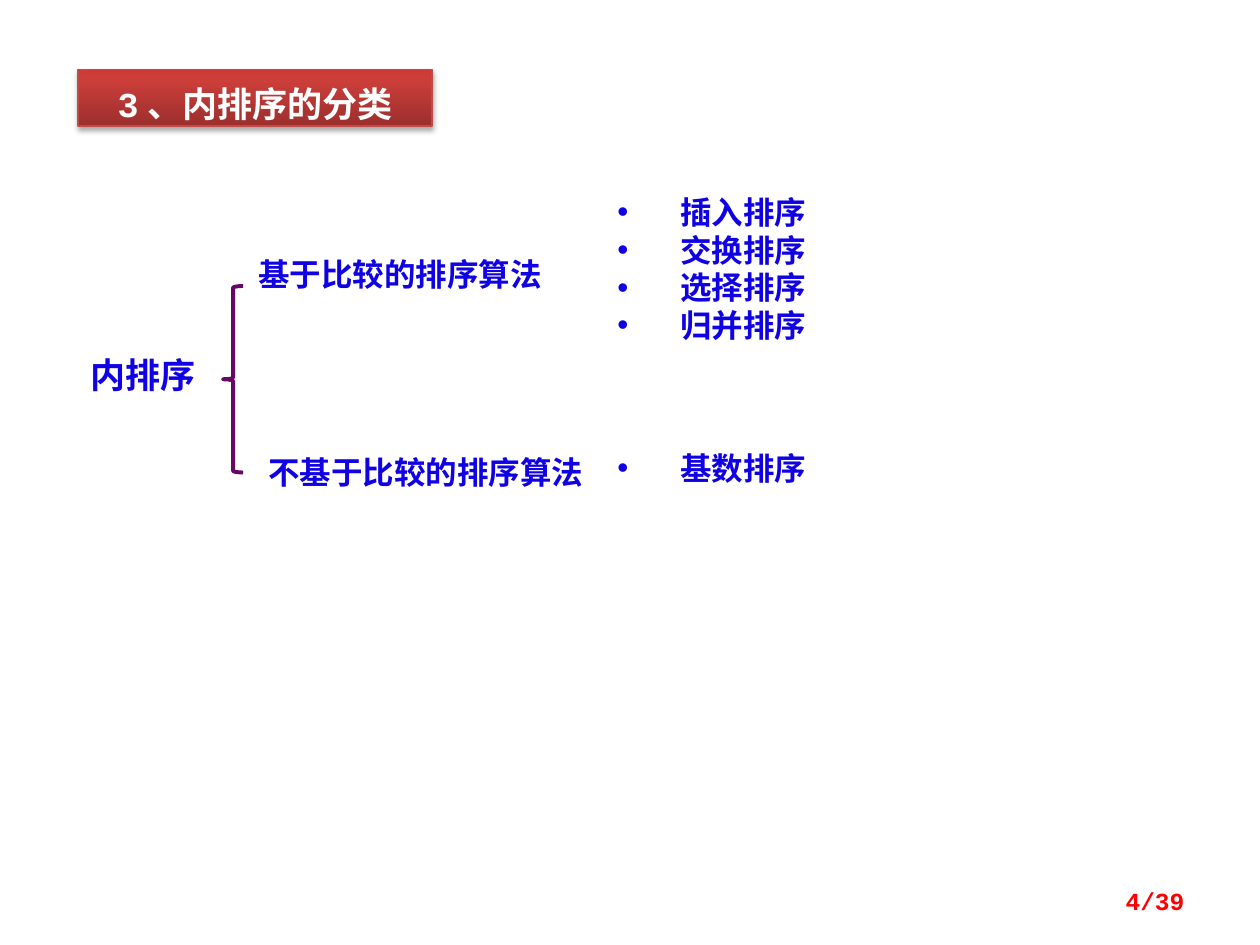
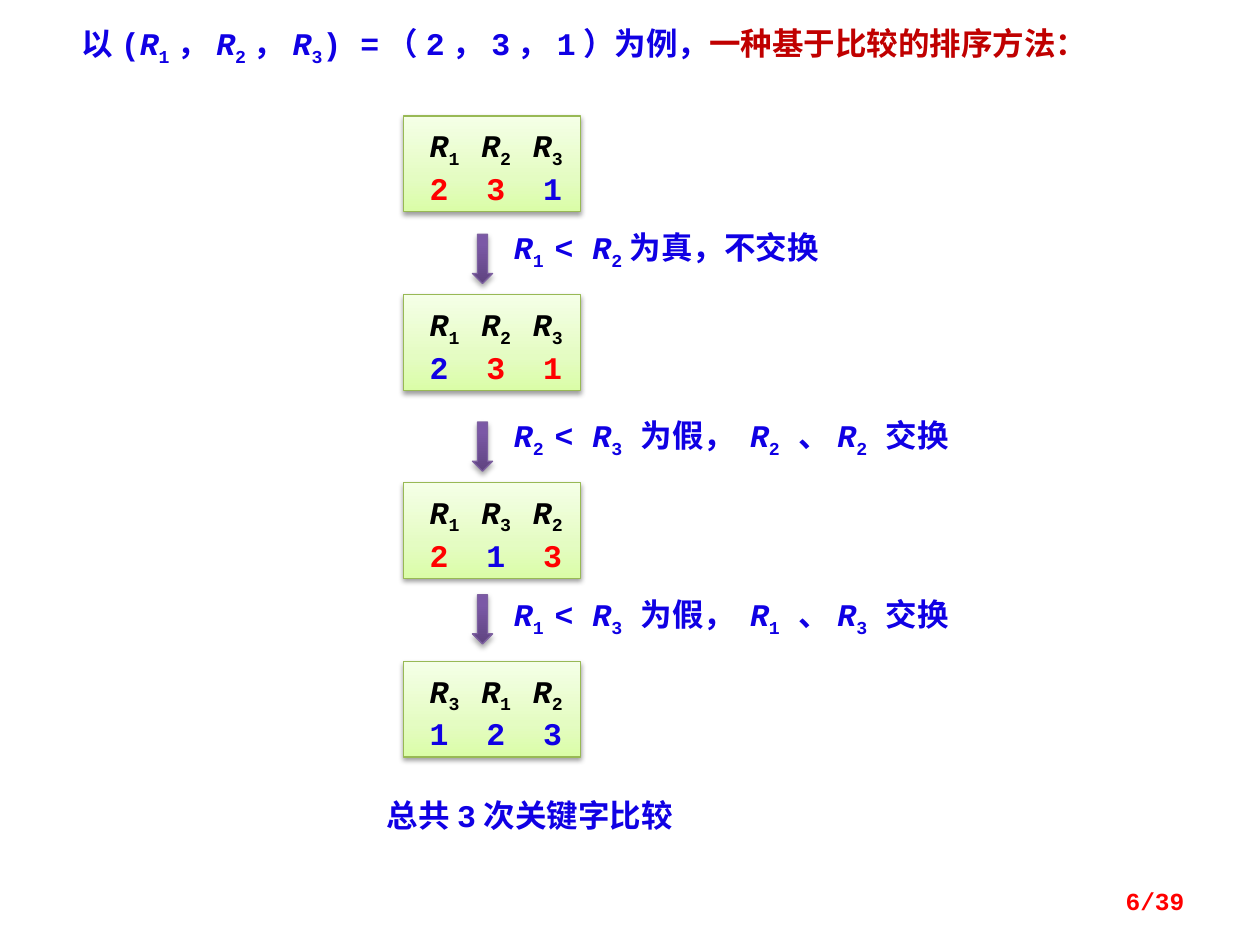
import dataclasses

import lxml.etree
import pptx
import pptx.dml.color
import pptx.enum.shapes
import pptx.enum.text
import pptx.oxml.ns
import pptx.util

Inches = pptx.util.Inches
Pt = pptx.util.Pt
qn = pptx.oxml.ns.qn
Shapes = pptx.enum.shapes.MSO_SHAPE
Align = pptx.enum.text.PP_ALIGN
Anchor = pptx.enum.text.MSO_ANCHOR


@dataclasses.dataclass(frozen=True)
class Theme:
    blue: str = "1000E4"
    red: str = "FF0000"
    dark_red: str = "C00000"
    purple: str = "690764"
    white: str = "FFFFFF"
    black: str = "000000"
    code_font: str = "Courier New"
    serif_font: str = "Times New Roman"
    chinese_font: str = "Noto Sans CJK SC"
    large: int = 20
    normal: int = 18
    small: int = 14
    line_factor: float = 1.3
    list_factor: float = 1.2
    banner_factor: float = 1.4


@dataclasses.dataclass(frozen=True)
class Finish:
    """Gradient stops from bottom to top, outline and shadow of a shape."""
    stops: tuple
    line: str
    shadow_percent: int
    shadow_distance: float


THEME = Theme()
BANNER = Finish(((0, "9C2F2D"), (80, "CB3E3A"), (100, "CE3B37")), "BF4C48", 35, 1.8)
RECORD = Finish(((0, "DAFDA7"), (35, "E4FCC2"), (100, "F5FFE7")), "98B955", 38, 1.6)
ARROW = Finish(((0, "5F4480"), (80, "7B58A6"), (100, "7C57A8")), "7D60A0", 35, 1.8)
PAGE_COUNT = 39


def rgb(color):
    return pptx.dml.color.RGBColor.from_string(color)


def add_xml(parent, tag, **attributes):
    element = lxml.etree.SubElement(parent, qn(tag))
    for name, value in attributes.items():
        element.set(name, str(value))
    return element


# Shape helpers
def place(shape, left, top, width, height):
    shape.left, shape.top = Inches(left), Inches(top)
    shape.width, shape.height = Inches(width), Inches(height)


def apply_finish(shape, finish):
    shape.fill.gradient()
    shape.fill.gradient_angle = 90
    stop_list = shape._element.spPr.find(".//" + qn("a:gsLst"))
    for stop in list(stop_list):
        stop_list.remove(stop)
    for position, color in finish.stops:
        stop = add_xml(stop_list, "a:gs", pos=position * 1000)
        add_xml(stop, "a:srgbClr", val=color)
    shape.line.color.rgb = rgb(finish.line)
    shape.line.width = Pt(0.75)
    # The empty effect list is filled with one soft shadow
    pptx.dml.effect.ShadowFormat(shape._element.spPr).inherit = False
    effects = shape._element.spPr.find(qn("a:effectLst"))
    shadow = add_xml(effects, "a:outerShdw", blurRad=Pt(3.1),
                     dist=Pt(finish.shadow_distance), dir=90 * 60000, rotWithShape=0)
    color = add_xml(shadow, "a:srgbClr", val=THEME.black)
    add_xml(color, "a:alpha", val=finish.shadow_percent * 1000)


# Text helpers
def prepare_frame(shape, anchor=Anchor.TOP):
    frame = shape.text_frame
    frame.word_wrap = True
    frame.auto_size = pptx.enum.text.MSO_AUTO_SIZE.NONE
    frame.vertical_anchor = anchor
    return frame


def set_spacing(paragraph, size, factor=THEME.line_factor, alignment=Align.LEFT):
    paragraph.alignment = alignment
    paragraph.line_spacing = Pt(size * factor)
    paragraph.space_before = Pt(0)


def add_run(paragraph, text, color=THEME.blue, size=THEME.normal,
            font=THEME.code_font, italic=False, subscript=False):
    run = paragraph.add_run()
    run.text = text
    run.font.size = Pt(size)
    run.font.bold = True
    run.font.italic = italic
    run.font.color.rgb = rgb(color)
    run.font.name = font
    properties = run._r.get_or_add_rPr()
    add_xml(properties, "a:ea", typeface=THEME.chinese_font)
    if subscript:
        properties.set("baseline", "-25000")


def add_formula(paragraph, parts, color=THEME.blue):
    """Set each R in italics and the part after it as its subscript."""
    after_name = False
    for part in parts:
        is_name = part.strip() == "R"
        add_run(paragraph, part, color, italic=is_name, subscript=after_name)
        after_name = is_name


def add_text_box(slide, box, anchor=Anchor.TOP):
    shape = slide.shapes.add_textbox(*map(Inches, box))
    return prepare_frame(shape, anchor).paragraphs[0]


def add_label(slide, box, text, size=THEME.normal, font=THEME.code_font):
    paragraph = add_text_box(slide, box)
    set_spacing(paragraph, size)
    add_run(paragraph, text, size=size, font=font)


def add_page_number(slide, number):
    paragraph = add_text_box(slide, (7.17, 6.95, 2.33, 0.4), Anchor.MIDDLE)
    paragraph.alignment = Align.RIGHT
    add_run(paragraph, f"{number}/{PAGE_COUNT}", THEME.red, THEME.small)


def fill_list(placeholder, box, items):
    place(placeholder, *box)
    frame = prepare_frame(placeholder)
    for index, item in enumerate(items):
        paragraph = frame.add_paragraph() if index else frame.paragraphs[0]
        set_spacing(paragraph, THEME.normal, THEME.list_factor)
        properties = paragraph._p.get_or_add_pPr()
        properties.set("marL", str(Inches(0.5)))
        properties.set("indent", str(-Inches(0.5)))
        color = add_xml(properties, "a:buClr")
        add_xml(color, "a:srgbClr", val=THEME.blue)
        add_xml(properties, "a:buChar", char="•")
        add_run(paragraph, item, font=THEME.chinese_font)


# Sorting steps
def add_tabs(paragraph, pitch):
    paragraph.alignment = Align.LEFT
    tabs = add_xml(paragraph._p.get_or_add_pPr(), "a:tabLst")
    for column in (1, 2):
        add_xml(tabs, "a:tab", pos=Inches(pitch * column), algn="l")


def add_record_box(slide, top, order, keys, compared):
    """Show record names over their keys; the compared keys are red."""
    shape = slide.shapes.add_shape(
        Shapes.RECTANGLE, *map(Inches, (3.2, top, 1.41, 0.76)))
    apply_finish(shape, RECORD)
    frame = prepare_frame(shape)
    frame.margin_left, frame.margin_right = Inches(0.21), Inches(0)
    frame.margin_top = frame.margin_bottom = Inches(0.08)

    names = frame.paragraphs[0]
    add_tabs(names, 0.41)
    parts = []
    for column, index in enumerate(order):
        parts += ["\tR" if column else "R", index]
    add_formula(names, parts, THEME.black)

    values = frame.add_paragraph()
    add_tabs(values, 0.45)
    for column, key in enumerate(keys):
        color = THEME.red if column in compared else THEME.blue
        add_run(values, "\t" + key if column else key, color)


def add_comparison(slide, arrow_top, label_top, parts):
    arrow = slide.shapes.add_shape(
        Shapes.DOWN_ARROW, *map(Inches, (3.75, arrow_top, 0.16, 0.39)))
    apply_finish(arrow, ARROW)
    paragraph = add_text_box(slide, (3.98, label_top, 4.22, 0.4))
    set_spacing(paragraph, THEME.normal)
    add_formula(paragraph, parts)


# Slides
def build_classification(presentation):
    slide = presentation.slides.add_slide(presentation.slide_layouts[3])
    title, comparison_list, other_list = slide.placeholders
    place(title, 0.62, 0.55, 2.81, 0.45)
    apply_finish(title, BANNER)
    heading = prepare_frame(title).paragraphs[0]
    set_spacing(heading, THEME.large, THEME.banner_factor, Align.CENTER)
    add_run(heading, "3、内排序的分类", THEME.white, THEME.large)

    add_label(slide, (0.62, 2.73, 1.33, 0.44), "内排序", THEME.large, THEME.chinese_font)
    add_label(slide, (1.95, 1.95, 3.13, 0.4), "基于比较的排序算法", font=THEME.serif_font)
    add_label(slide, (2.03, 3.52, 3.28, 0.4), "不基于比较的排序算法", font=THEME.serif_font)
    fill_list(comparison_list, (4.8, 1.48, 1.95, 1.31),
              ["插入排序", "交换排序", "选择排序", "归并排序"])
    fill_list(other_list, (4.8, 3.51, 2.03, 0.4), ["基数排序"])

    brace = slide.shapes.add_shape(
        Shapes.LEFT_BRACE, *map(Inches, (1.77, 2.27, 0.16, 1.48)))
    brace.shadow.inherit = False
    brace.fill.background()
    brace.line.color.rgb = rgb(THEME.purple)
    brace.line.width = Pt(2.25)
    add_page_number(slide, 4)


def build_example(presentation):
    slide = presentation.slides.add_slide(presentation.slide_layouts[5])
    title = slide.shapes.title
    place(title, 0.55, 0.16, 8.91, 0.4)
    heading = prepare_frame(title).paragraphs[0]
    set_spacing(heading, THEME.normal)
    add_formula(heading, ["以(", "R", "1", "，", "R", "2", "，", "R", "3",
                          ") =（2，3，1）为例，"])
    add_run(heading, "一种基于比较的排序方法：", THEME.dark_red)

    # Top, record order, keys, compared columns
    for record in ((0.92, "123", "231", (0, 1)),
                   (2.34, "123", "231", (1, 2)),
                   (3.83, "132", "213", (0, 2)),
                   (5.25, "312", "123", ())):
        add_record_box(slide, *record)

    add_comparison(slide, 1.86, 1.78, ["R", "1 ", "<", " R", "2", "为真，不交换"])
    for arrow_top, label_top, left, right, swapped in (
            (3.35, 3.27, "2 ", "3 ", ("2 ", "2 ")),
            (4.72, 4.69, "1 ", "3 ", ("1 ", "3 "))):
        add_comparison(slide, arrow_top, label_top,
                       ["R", left, "<", " R", right, "为假，",
                        " R", swapped[0], "、", "R", swapped[1], "交换"])

    add_label(slide, (2.97, 6.24, 2.5, 0.4), "总共3次关键字比较")
    add_page_number(slide, 6)


def main():
    presentation = pptx.Presentation()
    presentation.slide_width = Inches(10)
    presentation.slide_height = Inches(7.5)
    build_classification(presentation)
    build_example(presentation)
    presentation.save("out.pptx")


if __name__ == "__main__":
    main()
